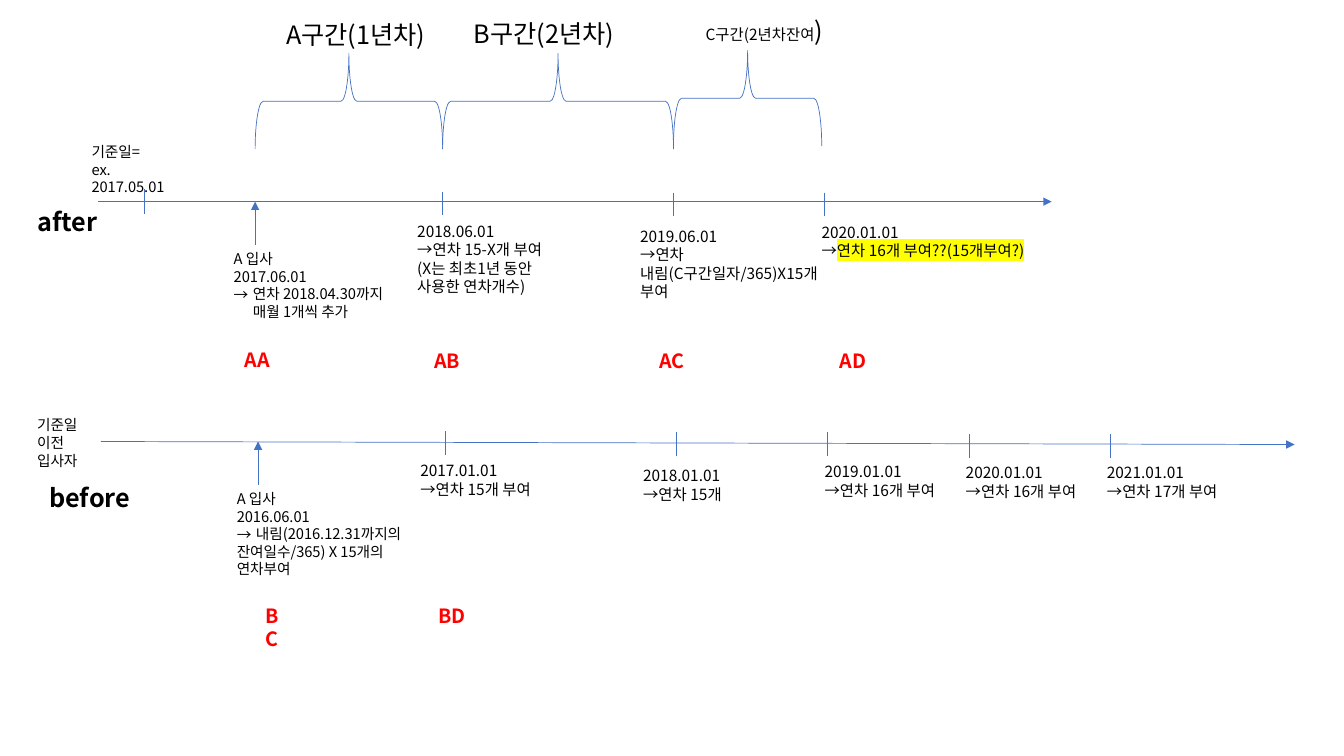
from lxml import etree
from pptx import Presentation
from pptx import util as u
from pptx.dml.color import RGBColor
from pptx.enum import shapes, text
from pptx.oxml import ns

PX = 9144
FONT = "Noto Sans CJK KR"
BLUE = RGBColor(0x44, 0x72, 0xC4)
BLACK = RGBColor(0, 0, 0)
RED = RGBColor(0xFF, 0, 0)
YELLOW = RGBColor(0xFF, 0xFF, 0)
LINE_WIDTH = u.Pt(0.5)

AFTER_MILESTONES = [
    (439, 190, 35, 25, 156, ["2018.06.01", "→연차 15-X개 부여", "(X는 최초1년 동안", "사용한 연차개수)"]),
    (668, 191, 43, 29, 205, ["2019.06.01", "→연차\n내림(C구간일자/365)X15개", "부여"]),
    (818, 191, 13, 25, 234, ["2020.01.01", [("→",), ("연차 16개 부여??(15개부여?)", 11, YELLOW)]]),
]
BEFORE_MILESTONES = [
    (442, 428, 35, 25, 140, ["2017.01.01", "→연차 15개 부여"]),
    (671, 429, 43, 29, 104, ["2018.01.01", "→연차 15개"]),
    (821, 429, 13, 25, 140, ["2019.01.01", "→연차 16개 부여"]),
    (961, 431, 13, 24, 140, ["2020.01.01", "→연차 16개 부여"]),
    (1101, 431, 13, 24, 140, ["2021.01.01", "→연차 17개 부여"]),
]
PERIODS = [
    (253, 439, 53, (274, 14, 167), [("A구간(1년차)", 18)]),
    (439, 668, 53, (460, 13, 206), [("B구간(2년차)", 18)]),
    (668, 815, 50, (690, 10, 206), [("C구간(2년차잔여", 11), (")", 18)]),
]
CODES = [
    ("AA", 233, 340, 48), ("AB", 421, 341, 48), ("AC", 644, 341, 48),
    ("AD", 823, 341, 49), ("BC", 253, 594, 45), ("BD", 425, 594, 48),
]


def px(value):
    return u.Emu(round(value * PX))


def add_run(paragraph, words, size, color, bold, highlight=None):
    run = paragraph.add_run()
    run.text = words
    run.font.size = u.Pt(size)
    run.font.bold = bold
    run.font.color.rgb = color
    props = run.font._element
    if highlight is not None:
        mark = etree.SubElement(props, ns.qn("a:highlight"))
        etree.SubElement(mark, ns.qn("a:srgbClr"), val=str(highlight))
    run.font.name = FONT
    etree.SubElement(props, ns.qn("a:ea"), typeface=FONT)


def add_bullet(paragraph):
    props = paragraph._p.get_or_add_pPr()
    props.set("marL", str(px(19)))
    props.set("indent", str(-px(19)))
    etree.SubElement(props, ns.qn("a:buFont"), typeface=FONT)
    etree.SubElement(props, ns.qn("a:buChar"), char="→")


def add_label(slide, left, top, width, height, lines, size=11, color=BLACK, bold=False, bullet=None):
    box = slide.shapes.add_textbox(px(left), px(top), px(width), px(height))
    frame = box.text_frame
    frame.word_wrap = True
    frame.auto_size = text.MSO_AUTO_SIZE.SHAPE_TO_FIT_TEXT
    for index, line in enumerate(lines):
        paragraph = frame.add_paragraph() if index else frame.paragraphs[0]
        if index == bullet:
            add_bullet(paragraph)
        pieces = [(line,)] if isinstance(line, str) else line
        for words, *style in pieces:
            run_size = style[0] if style else size
            highlight = style[1] if len(style) > 1 else None
            for row, part in enumerate(words.split("\n")):
                if row:
                    paragraph.add_line_break()
                add_run(paragraph, part, run_size, color, bold, highlight)


def add_line(slide, x1, y1, x2, y2, arrow=False):
    line = slide.shapes.add_connector(
        shapes.MSO_CONNECTOR.STRAIGHT, px(x1), px(y1), px(x2), px(y2))
    line.line.color.rgb = BLUE
    line.line.width = LINE_WIDTH
    if arrow:
        etree.SubElement(line.line._get_or_add_ln(), ns.qn("a:tailEnd"), type="triangle")
    etree.SubElement(line._element.spPr, ns.qn("a:effectLst"))


def add_brace(slide, left, right, top, depth=95):
    span = right - left
    brace = slide.shapes.add_shape(
        shapes.MSO_SHAPE.LEFT_BRACE,
        px((left + right - depth) / 2), px(top + (depth - span) / 2), px(depth), px(span))
    brace.rotation = 90
    brace.shadow.inherit = False
    brace.fill.background()
    brace.line.color.rgb = BLUE
    brace.line.width = LINE_WIDTH


def add_milestone(slide, x, tick_top, shift, drop, width, lines):
    add_line(slide, x, tick_top, x, tick_top + 23)
    add_label(slide, x - shift, tick_top + drop, width, 13 + 17 * len(lines), lines)


def add_entry(slide, x, axis_y, width, height, lines):
    add_line(slide, x, axis_y + 43, x, axis_y, arrow=True)
    add_label(slide, x - 31, axis_y + 43, width, height, lines, size=10.5, bullet=2)


def main():
    deck = Presentation()
    deck.slide_width, deck.slide_height = px(1333), px(750)
    slide = deck.slides.add_slide(deck.slide_layouts[6])

    add_line(slide, 97, 200, 1043, 200, arrow=True)
    add_line(slide, 143, 188, 143, 212)
    add_label(slide, 81, 137, 114, 45, ["기준일=", "ex. 2017.05.01"], size=10.5)
    add_entry(slide, 253, 200, 174, 81,
              ["A 입사", "2017.06.01", "연차 2018.04.30까지\n매월 1개씩 추가"])
    for left, right, top, (title_x, title_y, width), title in PERIODS:
        add_brace(slide, left, right, top)
        add_label(slide, title_x, title_y, width, 40, [title])

    add_line(slide, 100, 438, 1284, 441, arrow=True)
    add_label(slide, 27, 408, 64, 63, ["기준일", "이전", "입사자"], size=10.5)
    add_entry(slide, 256, 438, 188, 98,
              ["A 입사", "2016.06.01", "내림(2016.12.31까지의", "잔여일수/365) X 15개의", "연차부여"])

    for milestone in AFTER_MILESTONES + BEFORE_MILESTONES:
        add_milestone(slide, *milestone)
    add_label(slide, 27, 200, 92, 40, ["after"], size=18, bold=True)
    add_label(slide, 39, 474, 104, 40, ["before"], size=18, bold=True)
    for code, left, top, width in CODES:
        add_label(slide, left, top, width, 34, [code], size=14, color=RED, bold=True)

    deck.save("out.pptx")


if __name__ == "__main__":
    main()
